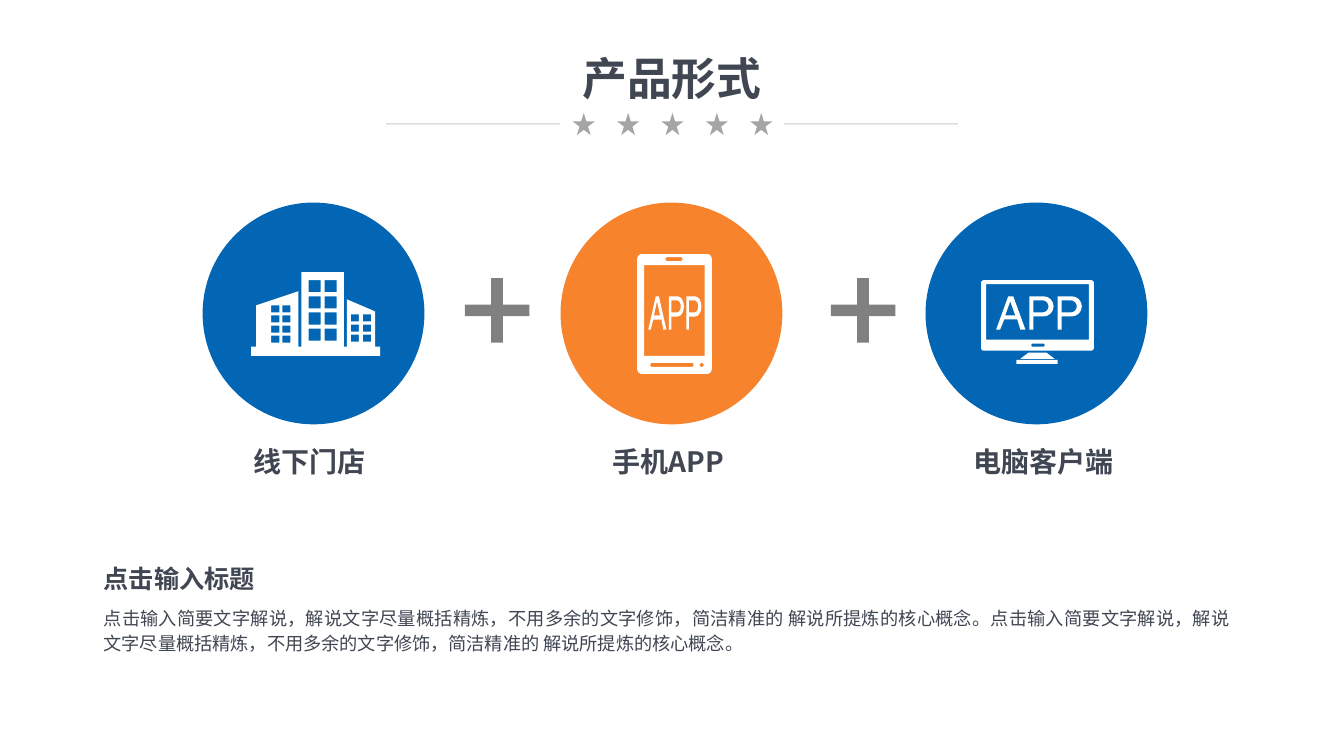
import math
import pptx
import pptx.dml.color
import pptx.enum.shapes
import pptx.enum.text
import pptx.oxml
import pptx.oxml.ns
import pptx.util

Inches = pptx.util.Inches
SHAPE = pptx.enum.shapes.MSO_SHAPE
ALIGN = pptx.enum.text.PP_ALIGN
FONT = "Noto Sans CJK SC"
COLORS = {"text": "404652", "blue": "0266B4", "orange": "F8832D",
          "white": "FFFFFF", "plus": "808080", "ornament": "A5A5A5"}
CIRCLE = 2.2


def rgb(name):
    return pptx.dml.color.RGBColor.from_string(COLORS[name])


def paint(sp, color):
    sp.shadow.inherit = False
    sp.fill.solid()
    sp.fill.fore_color.rgb = rgb(color)
    sp.line.fill.background()


def add_shape(slide, kind, box, color):
    sp = slide.shapes.add_shape(kind, *map(Inches, box))
    paint(sp, color)
    return sp


def write(sp, text, size, align, bold=True, wrap=True):
    tf = sp.text_frame
    tf.word_wrap = wrap
    tf.vertical_anchor = pptx.enum.text.MSO_ANCHOR.TOP
    p = tf.paragraphs[0]
    p.text = text
    p.alignment = align
    p.font.name = FONT
    p.font.size = pptx.util.Pt(size)
    p.font.bold = bold
    p.font.color.rgb = rgb("text")
    for r in p.runs:
        ea = pptx.oxml.parse_xml('<a:ea %s typeface="%s"/>' % (pptx.oxml.ns.nsdecls("a"), FONT))
        r._r.get_or_add_rPr().append(ea)
    return p


def add_text(slide, box, *args, **kwargs):
    return write(slide.shapes.add_textbox(*map(Inches, box)), *args, **kwargs)


# Outlines: lists of points in inches
def arc(cx, cy, rx, ry, start, end, steps=8):
    angles = [math.radians(start + (end - start) * i / steps) for i in range(steps + 1)]
    return [(cx + rx * math.cos(a), cy + ry * math.sin(a)) for a in angles]


def rect(x, y, w, h, r=0):
    if not r:
        return [(x, y), (x + w, y), (x + w, y + h), (x, y + h)]
    corners = [(x + w - r, y + h - r), (x + r, y + h - r), (x + r, y + r), (x + w - r, y + r)]
    return [pt for i, (cx, cy) in enumerate(corners)
            for pt in arc(cx, cy, r, r, 90 * i, 90 * i + 90)]


def windows(x, y, dx, dy, rows, w, h):
    return [rect(x + dx * c, y + dy * r, w, h) for r in range(rows) for c in range(2)]


def app_letters(x, y, stretch):
    letter_a = [[(0.08, 0.23), (0.21, 0.23), (0.24, 0.33), (0.29, 0.33), (0.17, 0),
                 (0.12, 0), (0, 0.33), (0.04, 0.33)],
                [(0.19, 0.19), (0.09, 0.19), (0.14, 0.05)]]
    letter_p = [[(0, 0.33), (0, 0)] + arc(0.14, 0.1, 0.1, 0.1, -90, 90) + [(0.04, 0.2), (0.04, 0.33)],
                [(0.04, 0.04)] + arc(0.13, 0.1, 0.06, 0.06, -90, 90) + [(0.04, 0.16)]]
    placed = [(0, letter_a), (0.33, letter_p), (0.61, letter_p)]
    return [[(x + stretch * (left + px), y + py) for px, py in outline]
            for left, letter in placed for outline in letter]


def store_icon():
    skyline = [(1.71, 1.43), (1.71, 1.08), (1.43, 0.96), (1.43, 1.43), (1.4, 1.43),
               (1.4, 0.69), (0.98, 0.69), (0.98, 1.43), (0.95, 1.43), (0.95, 0.88),
               (0.53, 1.02), (0.53, 1.43), (0.48, 1.43), (0.48, 1.52), (1.76, 1.52), (1.76, 1.43)]
    return ([skyline] + windows(0.68, 1.02, 0.11, 0.1, 4, 0.08, 0.07)
            + windows(1.05, 0.77, 0.16, 0.16, 4, 0.12, 0.12)
            + windows(1.47, 1.11, 0.12, 0.1, 3, 0.08, 0.07))


def phone_icon():
    return [rect(0.76, 0.51, 0.74, 1.19, 0.05), rect(1.04, 0.54, 0.17, 0.04, 0.02),
            rect(0.89, 1.59, 0.43, 0.04, 0.02), rect(1.38, 1.59, 0.04, 0.04, 0.02),
            rect(0.83, 0.62, 0.6, 0.9)] + app_letters(0.87, 0.93, 0.62)


def monitor_icon():
    stand = [(0.94, 1.55), (1.02, 1.49), (1.2, 1.49), (1.28, 1.55)]
    return [rect(0.55, 0.77, 1.12, 0.7, 0.03), rect(1.05, 1.4, 0.13, 0.03, 0.01),
            rect(0.6, 0.81, 1.02, 0.55), stand,
            rect(0.9, 1.56, 0.41, 0.04)] + app_letters(0.7, 0.93, 1)


def add_icon(slide, x, y, outlines):
    paths = [[(Inches(x + px), Inches(y + py)) for px, py in o] for o in outlines]
    fb = slide.shapes.build_freeform(*paths[0][0])
    for i, pts in enumerate(paths):
        if i:
            fb.move_to(*pts[0])
        fb.add_line_segments(pts[1:], close=True)
    paint(fb.convert_to_shape(), "white")


# Title with the row of stars and its two rules
def add_heading(slide, x, y, w, text):
    title = slide.shapes.title
    title.left, title.top, title.width, title.height = map(Inches, (x + w / 2 - 1, y, 2, 0.64))
    write(title, text, 32, ALIGN.CENTER, wrap=False)
    for i in range(5):
        add_shape(slide, SHAPE.STAR_5_POINT, (x + 1.85 + 0.44 * i, y + 0.67, 0.22, 0.22), "ornament")
    for left in (x, x + w - 1.72):
        rule = slide.shapes.add_connector(
            pptx.enum.shapes.MSO_CONNECTOR.STRAIGHT,
            *map(Inches, (left, y + 0.78, left + 1.72, y + 0.78)))
        rule.line.color.rgb = rgb("ornament")
        rule.line.width = pptx.util.Pt(0.75)
        ns = pptx.oxml.ns.nsdecls("a")
        color = rule.line._ln.find(".//" + pptx.oxml.ns.qn("a:srgbClr"))
        color.append(pptx.oxml.parse_xml('<a:alpha %s val="60000"/>' % ns))
        rule._element.spPr.append(pptx.oxml.parse_xml("<a:effectLst %s/>" % ns))


# Circle with an icon and a label below
def add_product(slide, x, y, label_x, color, icon, label):
    add_shape(slide, SHAPE.OVAL, (x, y, CIRCLE, CIRCLE), color)
    add_icon(slide, x, y, icon)
    add_text(slide, (label_x, y + 2.35, 1.82, 0.44), label, 20, ALIGN.CENTER)


def add_plus(slide, x, y):
    sp = add_shape(slide, SHAPE.CROSS, (x, y, 0.64, 0.64), "plus")
    sp.adjustments[0] = 0.41


# Subtitle and description
def add_description(slide, x, y, w, heading, text):
    add_text(slide, (x, y, 1.72, 0.4), heading, 18, ALIGN.LEFT, wrap=False)
    p = add_text(slide, (x, y + 0.4, w, 0.61), text, 13, ALIGN.JUSTIFY, bold=False)
    p.line_spacing = pptx.util.Pt(18)


def main():
    prs = pptx.Presentation()
    prs.slide_width, prs.slide_height = Inches(13.33), Inches(7.5)
    slide = prs.slides.add_slide(prs.slide_layouts[5])
    add_heading(slide, 3.83, 0.45, 5.67, "产品形式")
    for x, label_x, color, icon, label in (
            (2.01, 2.16, "blue", store_icon(), "线下门店"),
            (5.56, 5.72, "orange", phone_icon(), "手机APP"),
            (9.18, 9.44, "blue", monitor_icon(), "电脑客户端")):
        add_product(slide, x, 2.01, label_x, color, icon, label)
    for x in (4.61, 8.24):
        add_plus(slide, x, 2.76)
    sentence = "点击输入简要文字解说，解说文字尽量概括精炼，不用多余的文字修饰，简洁精准的 解说所提炼的核心概念。"
    add_description(slide, 0.93, 5.54, 11.36, "点击输入标题", sentence * 2)
    prs.save("out.pptx")


if __name__ == "__main__":
    main()
